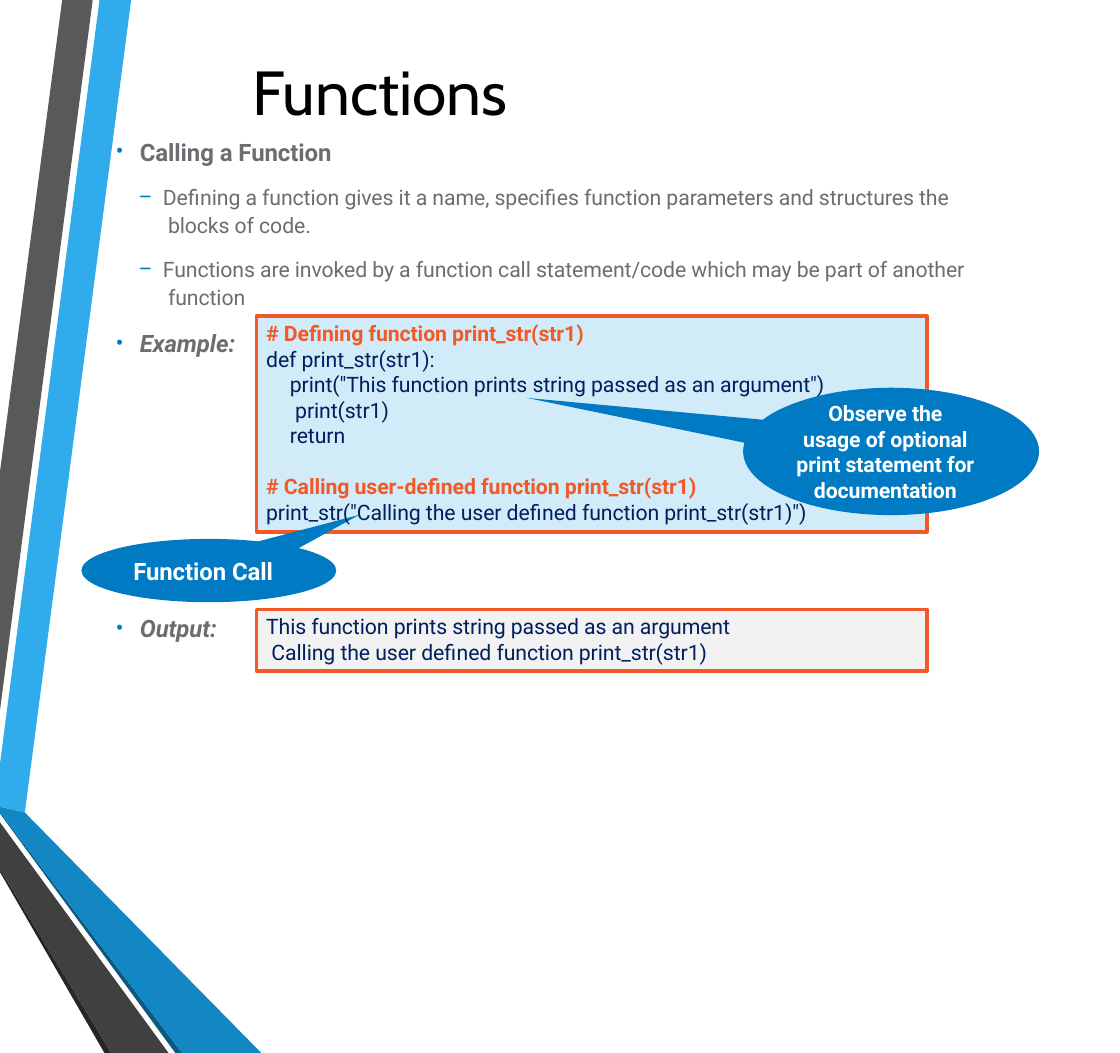
from pptx import Presentation
from pptx.dml.color import RGBColor
from pptx.enum.shapes import MSO_SHAPE
from pptx.enum.text import MSO_ANCHOR, PP_ALIGN
from pptx.oxml.ns import qn
from pptx.util import Cm, Pt
from lxml.etree import SubElement

BLUE, ORANGE, NAVY, GREY, WHITE = "007BC3", "F15928", "001F5F", "6C6D70", "FFFFFF"


def color(value):
    return RGBColor.from_string(value)


def write(frame, text, size=16, fill=NAVY, font="Roboto", bold=False, italic=False,
          align=PP_ALIGN.LEFT, before=0.0, spacing=None, margin=0.0, bullet=None):
    """Add one paragraph to the frame, filling the empty first one."""
    para = frame.paragraphs[0] if not frame.text else frame.add_paragraph()
    para.text = text
    para.alignment = align
    para.space_before = Pt(before)
    if spacing:
        para.line_spacing = spacing
    properties = para._p.get_or_add_pPr()
    properties.set("marL", str(Cm(margin)))
    properties.set("indent", str(Cm(-0.64 if bullet else 0)))
    if bullet:
        bullet_color = SubElement(properties, qn("a:buClr"))
        SubElement(bullet_color, qn("a:srgbClr")).set("val", BLUE)
        SubElement(properties, qn("a:buFont")).set("typeface", font)
        SubElement(properties, qn("a:buChar")).set("char", bullet)
    for span in para.runs:
        span.font.name = font
        span.font.size = Pt(size)
        span.font.bold = bold
        span.font.italic = italic
        span.font.color.rgb = color(fill)
        span._r.get_or_add_rPr().set("spc", "-5")


# The page is measured in whole points
deck = Presentation()
deck.slide_width, deck.slide_height = Pt(842), Pt(792)
page = deck.slides.add_slide(deck.slide_layouts[6])

# Ribbons along the left edge
ribbons = [
    ("30ACEC", [(0, 20.27), (0, 21.41), (0.66, 21.56), (3.48, 0), (2.64, 0)]),
    ("595959", [(2.46, 0), (1.65, 0), (0, 12.52), (0, 18.85)]),
    ("262626", [(0, 23.06), (0, 23.14), (2.77, 27.94), (2.95, 27.94)]),
    ("0C5A82", [(0, 21.56), (0, 21.59), (4.65, 27.94), (4.83, 27.94)]),
    ("1287C3", [(0, 21.56), (4.83, 27.94), (6.93, 27.94), (0.66, 21.56), (0, 21.41)]),
    ("404040", [(0, 23.06), (2.95, 27.94), (4.47, 27.94), (0, 21.82)]),
]
for fill, corners in ribbons:
    points = [(Cm(x), Cm(y)) for x, y in corners]
    builder = page.shapes.build_freeform(*points[0])
    builder.add_line_segments(points[1:])
    ribbon = builder.convert_to_shape()
    ribbon.shadow.inherit = False
    ribbon.fill.solid()
    ribbon.fill.fore_color.rgb = color(fill)
    ribbon.line.fill.background()

# Panels behind the code and its output
for top, height, fill in [(8.38, 5.74, "D1ECF8"), (16.17, 1.63, "F2F2F2")]:
    panel = page.shapes.add_shape(MSO_SHAPE.RECTANGLE, Cm(6.8), Cm(top), Cm(17.78), Cm(height))
    panel.shadow.inherit = False
    panel.fill.solid()
    panel.fill.fore_color.rgb = color(fill)
    panel.line.color.rgb = color(ORANGE)
    panel.line.width = Pt(2.75)

# Callouts: place, offset of the tip as a share of the size, lines
callouts = [
    ((19.71, 10.29, 7.85, 3.38), (-1.23, -0.42), 16,
     ["Observe the", "usage of optional", "print statement for", "documentation"]),
    ((2.16, 14.3, 6.76, 1.68), (0.59, -0.88), 18, ["Function Call"]),
]
for place, tip, size, lines in callouts:
    callout = page.shapes.add_shape(MSO_SHAPE.OVAL_CALLOUT, *map(Cm, place))
    callout.adjustments[0], callout.adjustments[1] = tip
    callout.shadow.inherit = False
    callout.fill.solid()
    callout.fill.fore_color.rgb = color(BLUE)
    callout.line.fill.background()
    frame = callout.text_frame
    frame.margin_left = frame.margin_top = frame.margin_bottom = 0
    frame.margin_right = Cm(0.3)
    frame.vertical_anchor = MSO_ANCHOR.MIDDLE
    for line in lines:
        write(frame, line, size=size, fill=WHITE, bold=True, align=PP_ALIGN.CENTER,
              spacing=Pt(19.2) if len(lines) > 1 else None)

# Text blocks: place, anchor, paragraphs with their format
heading = dict(size=18, fill=GREY, bold=True, before=1, margin=0.69, bullet="•")
label = dict(heading, italic=True)
detail = dict(fill=GREY, before=12, spacing=1.1, margin=1.3, bullet="–")
code = dict(spacing=Pt(19.2))
comment = dict(code, fill=ORANGE, bold=True)
blocks = [
    ((2.95, 1.55, 14.25, 1.68), MSO_ANCHOR.MIDDLE, [
        ("Functions", dict(size=46.8, fill="000000", font="Cabin", align=PP_ALIGN.CENTER))]),
    ((3.02, 3.61, 22.68, 4.67), MSO_ANCHOR.TOP, [
        ("Calling a Function", heading),
        ("Defining a function gives it a name, specifies function parameters "
         "and structures the\v blocks of code.", detail),
        ("Functions are invoked by a function call statement/code which may be "
         "part of another\v function", detail)]),
    ((3.02, 8.69, 3.6, 0.84), MSO_ANCHOR.TOP, [("Example:", label)]),
    ((3.02, 16.26, 3.6, 0.84), MSO_ANCHOR.TOP, [("Output:", label)]),
    ((7.06, 8.47, 16, 5.5), MSO_ANCHOR.TOP, [
        ("# Defining function print_str(str1)", comment),
        ("def print_str(str1):", code),
        ('print("This function prints string passed as an argument")', dict(code, margin=0.63)),
        ("print(str1)", dict(code, margin=0.77)),
        ("return", dict(code, margin=0.63)),
        ("# Calling user-defined function print_str(str1)", dict(comment, before=19.2)),
        ('print_str("Calling the user defined function print_str(str1)")', code)]),
    ((7.06, 16.25, 17, 1.42), MSO_ANCHOR.TOP, [
        ("This function prints string passed as an argument", code),
        ("Calling the user defined function print_str(str1)", dict(code, margin=0.14))]),
]
for place, anchor, paragraphs in blocks:
    box = page.shapes.add_textbox(*map(Cm, place))
    frame = box.text_frame
    frame.word_wrap = True
    frame.margin_left = frame.margin_right = frame.margin_bottom = 0
    frame.margin_top = Cm(0.03)
    frame.vertical_anchor = anchor
    for text, style in paragraphs:
        write(frame, text, **style)

deck.save("out.pptx")
